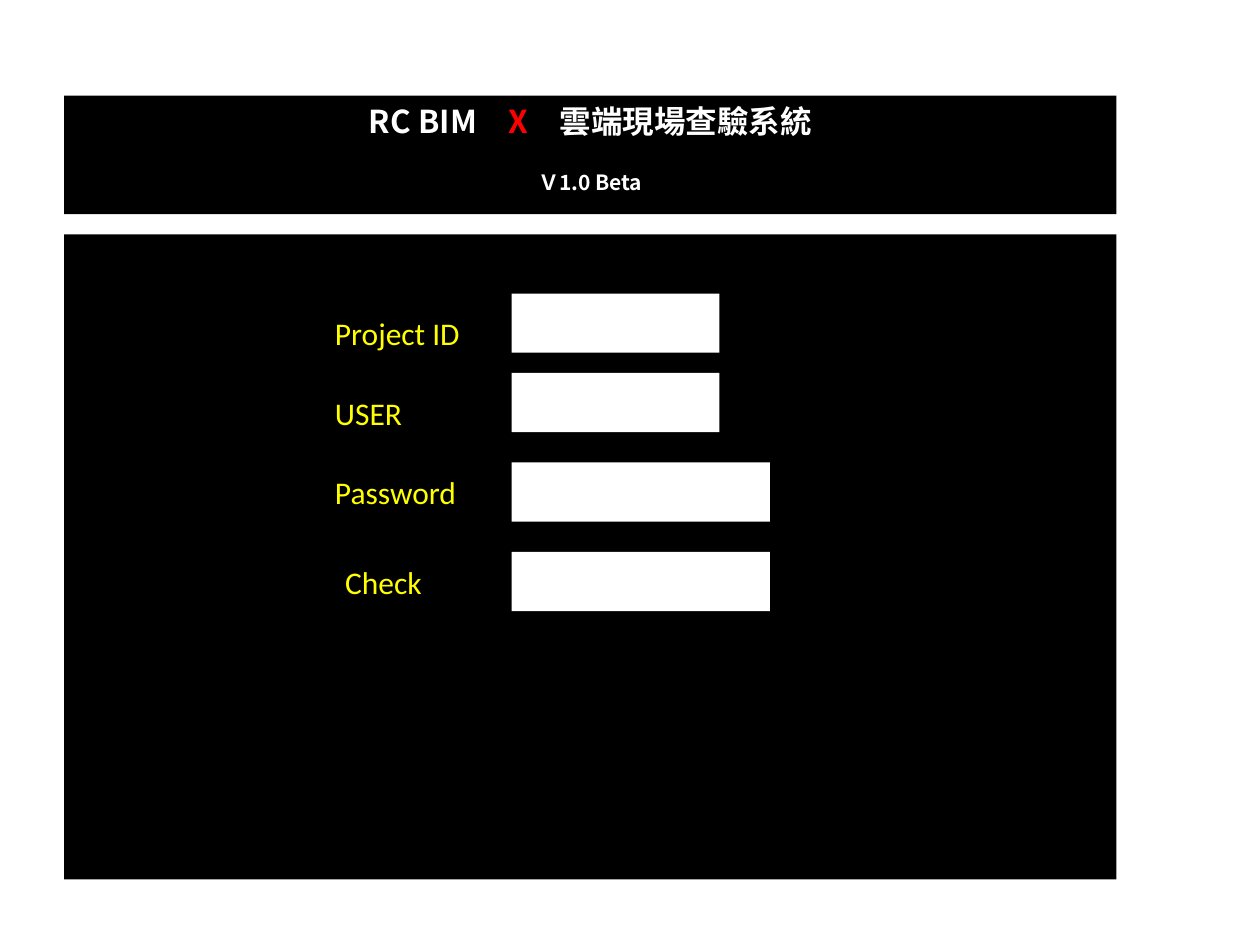
from lxml.etree import SubElement as Sub
from pptx import Presentation as Deck
from pptx.dml.color import RGBColor as Rgb
from pptx.enum.shapes import MSO_SHAPE as Kind
from pptx.enum.text import MSO_ANCHOR as Anchor, MSO_AUTO_SIZE as Fit, PP_ALIGN as Align
from pptx.oxml.ns import qn
from pptx.util import Inches, Pt

HUES = {"dark": "000000", "light": "FFFFFF", "label": "FFFF00", "mark": "FF0000"}
HEAD = "Noto Sans CJK SC"
LEFT, WIDE, HIGH = 0.51, 8.35, 0.47
FIELDS = [
    ("Project ID", 2.56, 2.41, 2.33, 1.65),
    ("USER", 2.56, 3.04, 2.96, 1.65),
    ("Password", 2.56, 3.67, 3.67, 2.05),
    ("Check", 2.64, 4.38, 4.38, 2.05),
]


def tint(name):
    """Return the named colour."""
    return Rgb.from_string(HUES[name])


def style(run, size, hue, face, bold=False):
    """Set the font of a run for Latin and East Asian text."""
    font = run.font
    font.size, font.bold, font.name = Pt(size), bold, face
    font.color.rgb = tint(hue)
    Sub(run._r.get_or_add_rPr(), qn("a:ea"), typeface=face)


def add_box(slide, x, y, w, h, hue):
    """Draw a plain filled rectangle."""
    box = slide.shapes.add_shape(Kind.RECTANGLE, Inches(x), Inches(y), Inches(w), Inches(h))
    box.shadow.inherit = False
    box.fill.solid()
    box.fill.fore_color.rgb = tint(hue)
    box.line.fill.background()


def add_field(slide, text, x, y, top, wide):
    """Place a label and its entry box."""
    label = slide.shapes.add_textbox(Inches(x), Inches(y), Inches(1.42), Inches(HIGH))
    frame = label.text_frame
    frame.word_wrap = True
    frame.vertical_anchor = Anchor.MIDDLE
    frame.text = text
    style(frame.paragraphs[0].runs[0], 18, "label", "Calibri")
    add_box(slide, 4.06, top, wide, HIGH, "light")


def set_title(slide):
    """Fill the title banner with the system name and version."""
    title = slide.shapes.title
    title.left, title.top = Inches(LEFT), Inches(0.76)
    title.width, title.height = Inches(WIDE), Inches(0.94)
    title.fill.solid()
    title.fill.fore_color.rgb = tint("dark")
    frame = title.text_frame
    frame.auto_size = Fit.NONE
    frame.vertical_anchor = Anchor.TOP
    name, note = frame.paragraphs[0], frame.add_paragraph()
    for text, hue in [("RC BIM　", "light"), ("X　", "mark"), ("雲端現場查驗系統", "light")]:
        run = name.add_run()
        run.text = text
        style(run, 18, hue, HEAD, True)
    note.text = "Ｖ1.0 Beta"
    note.space_before = Pt(17)
    style(note.runs[0], 12, "light", HEAD, True)
    for line in frame.paragraphs:
        line.alignment = Align.CENTER


def main():
    """Build and save the login slide."""
    deck = Deck()
    deck.slide_width, deck.slide_height = Inches(10), Inches(7.5)
    slide = deck.slides.add_slide(deck.slide_layouts[5])
    set_title(slide)
    add_box(slide, LEFT, 1.86, WIDE, 5.12, "dark")
    for field in FIELDS:
        add_field(slide, *field)
    deck.save("out.pptx")


if __name__ == "__main__":
    main()
